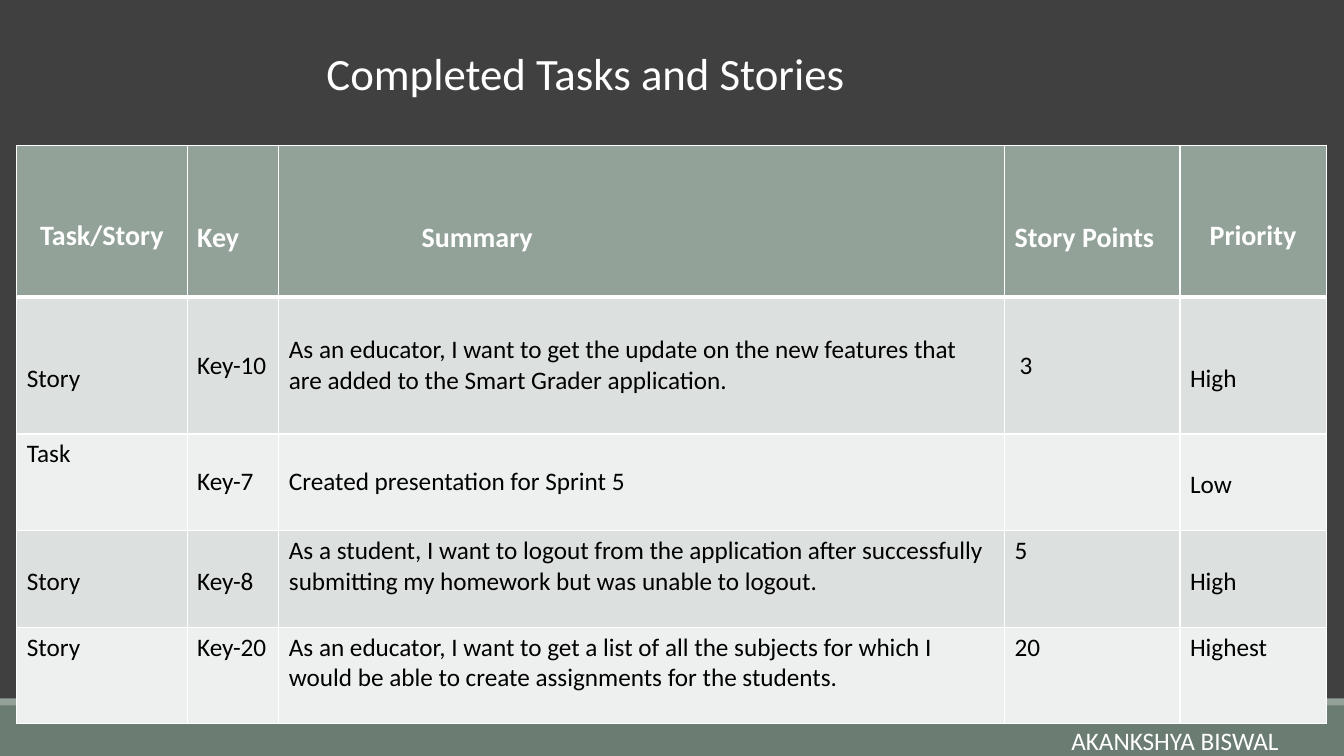
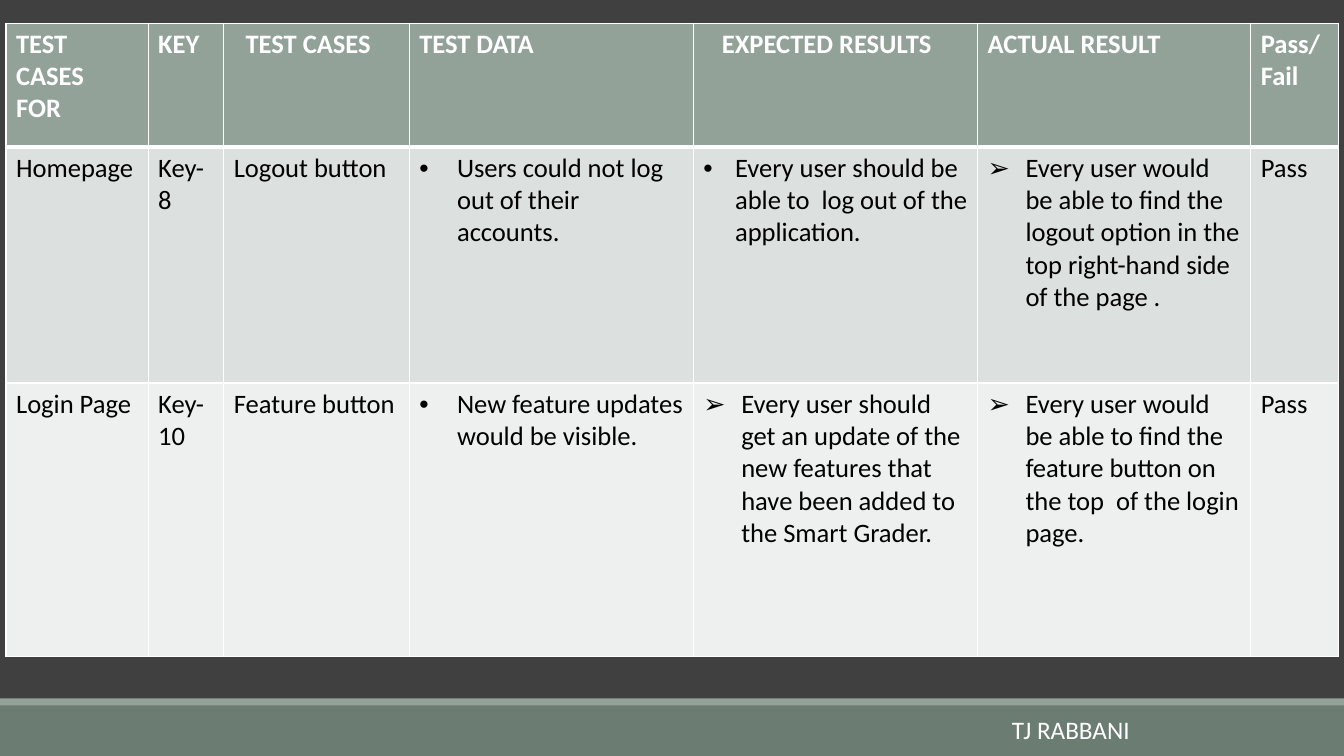
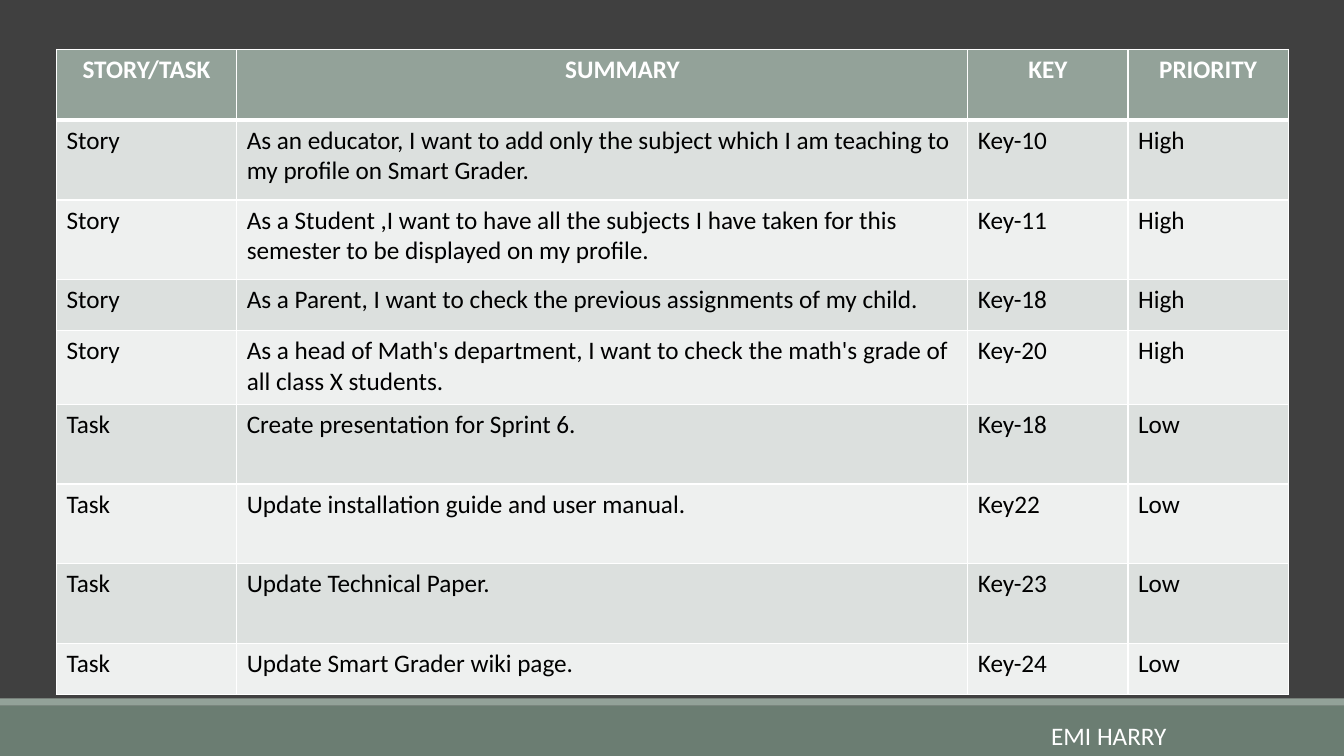
import lxml.etree
import pptx
import pptx.dml.color
import pptx.enum.shapes
import pptx.enum.text
import pptx.oxml.ns
import pptx.util

RGB = pptx.dml.color.RGBColor
CHARCOAL = RGB(0x40, 0x40, 0x40)
PINE = RGB(0x6B, 0x7D, 0x72)
SAGE = RGB(0x93, 0xA2, 0x99)
MIST = RGB(0xDC, 0xE0, 0xDE)
PALE = RGB(0xEE, 0xF0, 0xEF)
WHITE = RGB(0xFF, 0xFF, 0xFF)
BLACK = RGB(0, 0, 0)
FONT = "Calibri"

# The slide is a grid of 80 columns by 45 rows of square units.
COLUMNS, ROWS = 80, 45
UNIT = pptx.util.Inches(7.5) / ROWS
BANDS = [((0, 42, 80, 3), PINE), ((0, 41.58, 80, 0.42), SAGE)]
HANG = 2.25
SIDE_MARGIN, TOP_MARGIN = 0.6, 0.3

MIDDLE = {"vertical_anchor": pptx.enum.text.MSO_ANCHOR.MIDDLE}
CENTER = pptx.enum.text.PP_ALIGN.CENTER


def units(count):
    return pptx.util.Emu(round(count * UNIT))


def place(box):
    return [units(length) for length in box]


def lowered(lines, size):
    """Cell format that starts the text a number of lines further down."""
    return {"margin_top": units(TOP_MARGIN + lines * size * 1.22 / 12)}


def shifted(distance):
    return {"margin_left": units(SIDE_MARGIN + distance)}


def add_span(para, text, size, color, bold=False):
    span = para.add_run()
    span.text = text
    for name, value in {"name": FONT, "size": pptx.util.Pt(size), "bold": bold}.items():
        setattr(span.font, name, value)
    span.font.color.rgb = color


def add_label(page, box, text, size):
    frame = page.shapes.add_textbox(*place(box)).text_frame
    frame.word_wrap = True
    add_span(frame.paragraphs[0], text, size, WHITE)


def add_name(page, left, top, name):
    add_label(page, (left, top, 16.5, 2.1), name, 18)


def add_bands_to_master(deck, page):
    """Draw the bottom bands once and hand them to the master."""
    for box, color in BANDS:
        band = page.shapes.add_shape(pptx.enum.shapes.MSO_SHAPE.RECTANGLE, *place(box))
        band.shadow.inherit = False
        band.fill.solid()
        band.fill.fore_color.rgb = color
        band.line.fill.background()
        deck.slide_master.shapes.element.append(band.element)


def add_child(parent, tag, **attributes):
    return lxml.etree.SubElement(parent, pptx.oxml.ns.qn(tag), attributes)


def add_borders(cell, row):
    """White grid lines, with a heavier one below the header row."""
    properties = cell._tc.get_or_add_tcPr()
    widths = {"L": 1, "R": 1, "T": 3 if row == 1 else 1, "B": 3 if row == 0 else 1}
    for side, width in widths.items():
        line = add_child(properties, f"a:ln{side}", w=str(pptx.util.Pt(width)))
        add_child(add_child(line, "a:solidFill"), "a:srgbClr", val=str(WHITE))


def add_bullet(para, symbol, hang):
    properties = para._p.get_or_add_pPr()
    properties.set("marL", str(units(hang)))
    properties.set("indent", str(-units(hang)))
    add_child(properties, "a:buFont", typeface="Arial")
    add_child(properties, "a:buChar", char=symbol)


def fill_cell(cell, row, text, size, hang, alignment):
    add_borders(cell, row)
    cell.fill.solid()
    cell.fill.fore_color.rgb = SAGE if row == 0 else (PALE, MIST)[row % 2]
    frame = cell.text_frame
    for index, line in enumerate(text.split("\n")):
        para = frame.add_paragraph() if index else frame.paragraphs[0]
        para.alignment = alignment
        if line[:1] in ("•", "➢"):
            add_bullet(para, line[0], hang)
            line = line[2:]
        if line:
            add_span(para, line, size, BLACK if row else WHITE, row == 0)


def add_grid(page, box, widths, heights, content, sizes, formats={}, hangs={}, centered=()):
    """Table filling the box; widths and heights are relative weights, sizes are
    header and body text, formats and hangs are keyed by (row, column), and
    centered lists the header columns with centred text."""
    frame = page.shapes.add_table(len(heights), len(widths), *place(box))
    table = frame.table
    for column, weight in zip(table.columns, widths):
        column.width = units(box[2] * weight / sum(widths))
    for row, weight in zip(table.rows, heights):
        row.height = units(box[3] * weight / sum(heights))
    for row, texts in enumerate(content):
        for column, text in enumerate(texts):
            cell = table.cell(row, column)
            alignment = CENTER if row == 0 and column in centered else None
            fill_cell(cell, row, text, sizes[min(row, 1)],
                      hangs.get((row, column), HANG), alignment)
            for name, value in formats.get((row, column), {}).items():
                setattr(cell, name, value)


def build_completed(page):
    content = [
        ["Task/Story", "Key", "Summary", "Story Points", "Priority"],
        ["Story", "Key-10", "As an educator, I want to get the update on the new features "
         "that are added to the Smart Grader application.", "3", "High"],
        ["Task", "Key-7", "Created presentation for Sprint 5", "", "Low"],
        ["Story", "Key-8", "As a student, I want to logout from the application after "
         "successfully submitting my homework but was unable to logout.", "5", "High"],
        ["Story", "Key-20", "As an educator, I want to get a list of all the subjects for "
         "which I would be able to create assignments for the students.", "20", "Highest"],
    ]
    formats = {(0, column): MIDDLE | lowered(1, 20) for column in (1, 2, 3)}
    formats |= {(0, column): lowered(2, 20) for column in (0, 4)}
    formats |= {(1, column): lowered(2, 18) for column in (0, 4)}
    formats |= {spot: lowered(1, 18) for spot in [(2, 4), (3, 0), (3, 1), (3, 4)]}
    formats |= {spot: MIDDLE for spot in [(1, 1), (1, 2), (2, 1), (2, 2)]}
    formats[0, 2] |= shifted(7.9)
    formats[1, 3] = MIDDLE | shifted(0.3)
    add_label(page, (18.84, 2.4, 35.88, 3.84), "Completed Tasks and Stories", 32)
    add_grid(page, (1, 8.64, 77.94, 34.44), [1.69, 0.91, 7.2, 1.74, 1.45],
             [1.51, 1.36, 0.96, 0.96, 0.96], content, (20, 18), formats, centered=(0, 4))
    add_name(page, 63.18, 42.9, "AKANKSHYA BISWAL")


def build_test_cases(page):
    content = [
        ["TEST CASES\nFOR", "KEY", "TEST CASES", "TEST DATA", "EXPECTED RESULTS",
         "ACTUAL RESULT", "Pass/Fail"],
        ["Homepage", "Key-8", "Logout button",
         "• Users could not log out of their accounts.",
         "• Every user should be able to  log out of the application.",
         "➢ Every user would be able to find the logout option "
         "in the top right-hand side of the page .", "Pass"],
        ["Login Page", "Key-10", "Feature button",
         "• New feature updates would be visible.",
         "➢ Every user should get an update of the new features "
         "that have been added to the Smart Grader.",
         "➢ Every user would be able to find the feature button on the top "
         " of the login page.", "Pass"],
    ]
    add_grid(page, (0.36, 1.38, 79.32, 37.68), [1.41, 0.75, 1.84, 2.82, 2.82, 2.71, 0.87],
             [1.23, 2.34, 2.71], content, (19, 19),
             {(0, 2): shifted(0.7), (0, 4): shifted(1.1)}, {(1, 4): 1.88})
    add_name(page, 59.64, 42.24, "TJ RABBANI")


def build_next_sprint(page):
    content = [
        ["STORY/TASK", "SUMMARY", "KEY", "PRIORITY"],
        ["Story", "As an educator, I want to add only the subject which I am teaching to "
         "my profile on Smart Grader.", "Key-10", "High"],
        ["Story", "As a Student ,I want to have all the subjects I have taken for this "
         "semester to be displayed on my profile.", "Key-11", "High"],
        ["Story", "As a Parent, I want to check the previous assignments of my child.",
         "Key-18", "High"],
        ["Story", "As a head of Math's department, I want to check the math's grade of "
         "all class X students.", "Key-20", "High"],
        ["Task", "Create presentation for Sprint 6.", "Key-18", "Low"],
        ["Task", "Update installation guide and user manual.", "Key22", "Low"],
        ["Task", "Update Technical Paper.", "Key-23", "Low"],
        ["Task", "Update Smart Grader wiki page.", "Key-24", "Low"],
    ]
    add_grid(page, (3.36, 2.94, 73.32, 38.4), [1.79, 7.26, 1.59, 1.59],
             [0.7, 0.79, 0.79, 0.5, 0.73, 0.79, 0.79, 0.79, 0.5], content, (18, 18),
             {(0, 1): shifted(2.4)}, centered=range(4))
    add_name(page, 61.98, 42.6, "EMI HARRY")


def main():
    deck = pptx.Presentation()
    deck.slide_width, deck.slide_height = units(COLUMNS), units(ROWS)
    background = deck.slide_master.background.fill
    background.solid()
    background.fore_color.rgb = CHARCOAL
    blank = deck.slide_layouts[6]
    for index, build in enumerate([build_completed, build_test_cases, build_next_sprint]):
        page = deck.slides.add_slide(blank)
        if index == 0:
            add_bands_to_master(deck, page)
        build(page)
    deck.save("out.pptx")


if __name__ == "__main__":
    main()
